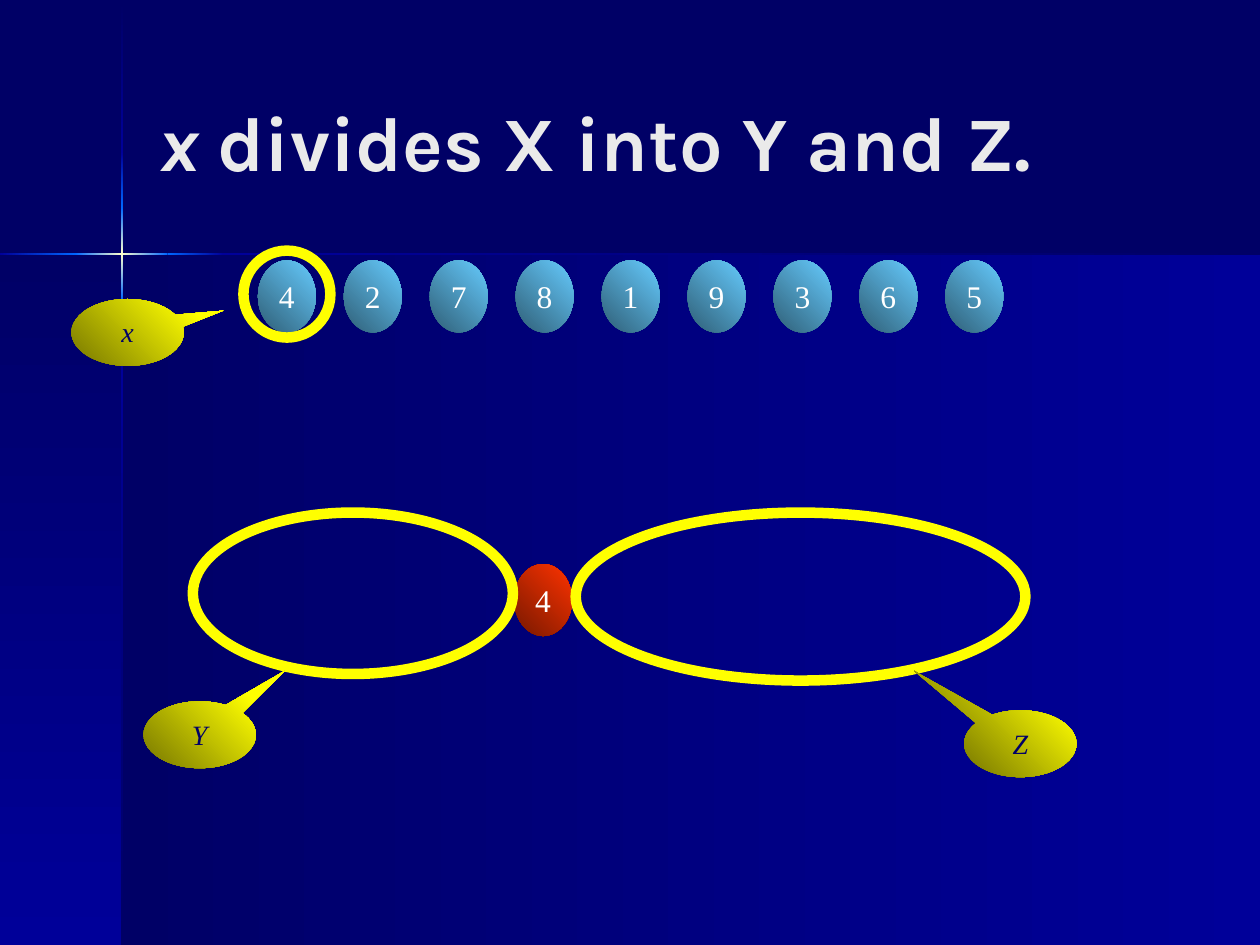
import copy

import pptx
import pptx.dml.color
import pptx.enum.shapes
import pptx.enum.text
import pptx.oxml.ns
import pptx.util

Pt = pptx.util.Pt
RGBColor = pptx.dml.color.RGBColor
SHAPES = pptx.enum.shapes.MSO_SHAPE
NAVY = RGBColor(0x00, 0x00, 0x66)
BLUE = RGBColor(0x00, 0x00, 0x99)
BRIGHT = RGBColor(0x00, 0x66, 0xFF)
CREAM = RGBColor(0xFF, 0xFF, 0xCC)
TITLE_GREY = RGBColor(0xEA, 0xEA, 0xEA)
WHITE = RGBColor(0xFF, 0xFF, 0xFF)
TEAL = RGBColor(0x2F, 0x5E, 0x76)
SKY = RGBColor(0x66, 0xCC, 0xFF)
MAROON = RGBColor(0x76, 0x18, 0x00)
RED = RGBColor(0xFF, 0x33, 0x00)
OLIVE = RGBColor(0x76, 0x76, 0x00)
YELLOW = RGBColor(0xFF, 0xFF, 0x00)

# Gradient angles, counter-clockwise
RIGHTWARD, DIAGONAL, DOWNWARD = 0, 45, 270

presentation = pptx.Presentation()
presentation.slide_width, presentation.slide_height = Pt(720), Pt(540)
slide = presentation.slides.add_slide(presentation.slide_layouts[6])
slide.background.fill.solid()
slide.background.fill.fore_color.rgb = NAVY


def add_gradient_shape(kind, box, colors, angle):
    """Add a borderless shape with evenly spaced gradient stops."""
    shape = slide.shapes.add_shape(kind, *[Pt(length) for length in box])
    shape.shadow.inherit = False
    shape.line.fill.background()
    shape.fill.gradient()
    shape.fill.gradient_angle = angle
    if len(colors) == 3:
        stop_list = shape._element.spPr.find(".//" + pptx.oxml.ns.qn("a:gsLst"))
        middle = copy.deepcopy(stop_list[0])
        middle.set("pos", "50000")
        stop_list.insert(1, middle)
    for stop, color in zip(shape.fill.gradient_stops, colors):
        stop.color.rgb = color
    return shape


def write_label(shape, text, size, color, italic=False, wrap=False):
    """Write one centred line in a shape."""
    frame = shape.text_frame
    frame.word_wrap = wrap
    frame.vertical_anchor = pptx.enum.text.MSO_ANCHOR.TOP
    paragraph = frame.paragraphs[0]
    paragraph.alignment = pptx.enum.text.PP_ALIGN.CENTER
    run = paragraph.add_run()
    run.text = text
    run.font.name = "Times New Roman"
    run.font.size = Pt(size)
    run.font.italic = italic
    run.font.color.rgb = color


# Background panels and the glowing cross lines
backdrop = [
    ((69.8, 145.6, 650.2, 394.4), (NAVY, BLUE), RIGHTWARD),
    ((0, 145.6, 69.8, 394.4), (NAVY, BLUE), DOWNWARD),
    ((69.1, 0.7, 1.4, 86.4), (NAVY, BLUE), DOWNWARD),
    ((69.1, 203, 1.4, 337), (BLUE, NAVY), DOWNWARD),
    ((127.5, 144.5, 592.5, 1.4), (BLUE, NAVY), RIGHTWARD),
    ((69.1, 171.4, 1.4, 31.6), (BRIGHT, BLUE), DOWNWARD),
    ((69.1, 87.1, 1.4, 31.7), (BLUE, BRIGHT), DOWNWARD),
    ((69.1, 118.8, 1.4, 52.6), (BRIGHT, CREAM, BRIGHT), DOWNWARD),
    ((0, 144.5, 43.6, 1.4), (BLUE, BRIGHT), RIGHTWARD),
    ((95.8, 144.5, 31.7, 1.4), (BRIGHT, BLUE), RIGHTWARD),
    ((43.2, 144.5, 52.6, 1.4), (BRIGHT, CREAM, BRIGHT), RIGHTWARD),
]
for box, colors, angle in backdrop:
    add_gradient_shape(SHAPES.RECTANGLE, box, colors, angle)

# Title
title = slide.shapes.add_textbox(Pt(84.2), Pt(23.8), Pt(594), Pt(113))
title.text_frame.word_wrap = True
title.text_frame.vertical_anchor = pptx.enum.text.MSO_ANCHOR.MIDDLE
for text, italic in (("x", True), (" divides X into Y and Z.", False)):
    run = title.text_frame.paragraphs[0].add_run()
    run.text = text
    run.font.name = "Karla"
    run.font.size = Pt(44)
    run.font.bold = True
    run.font.italic = italic
    run.font.color.rgb = TITLE_GREY

# Number balls: the list X and the chosen element
BALL_WIDTH, BALL_HEIGHT, BALL_STEP = 33.1, 41.2, 49.1
balls = [(147.4 + index * BALL_STEP, 148.8, digit, (TEAL, SKY))
         for index, digit in enumerate("427819365")]
balls.append((293.8, 322.3, "4", (MAROON, RED)))
for left, top, digit, colors in balls:
    ball = add_gradient_shape(SHAPES.OVAL, (left, top, BALL_WIDTH, BALL_HEIGHT),
                              colors, DIAGONAL)
    write_label(ball, digit, 18, WHITE)

# Yellow rings around x, Y and Z
rings = [
    (139.1, 143.2, 49.7, 49.7),
    (110.2, 292.9, 182.9, 92.2),
    (329, 292.9, 257, 96),
]
for box in rings:
    ring = slide.shapes.add_shape(SHAPES.OVAL, *[Pt(length) for length in box])
    ring.shadow.inherit = False
    ring.fill.background()
    ring.line.color.rgb = YELLOW
    ring.line.width = Pt(6)

# Callouts naming x, Y and Z
callouts = [
    ("x", 40.8, 170.9, (0.852, -0.326)),
    ("Y", 82, 400.8, (0.758, -0.957)),
    ("Z", 550.9, 405.9, (-0.945, -1.089)),
]
for name, left, top, pointer in callouts:
    callout = add_gradient_shape(SHAPES.OVAL_CALLOUT, (left, top, 64.2, 38.2),
                                 (OLIVE, YELLOW), DIAGONAL)
    callout.adjustments[0], callout.adjustments[1] = pointer
    write_label(callout, name, 16, NAVY, italic=True, wrap=True)

presentation.save("out.pptx")
